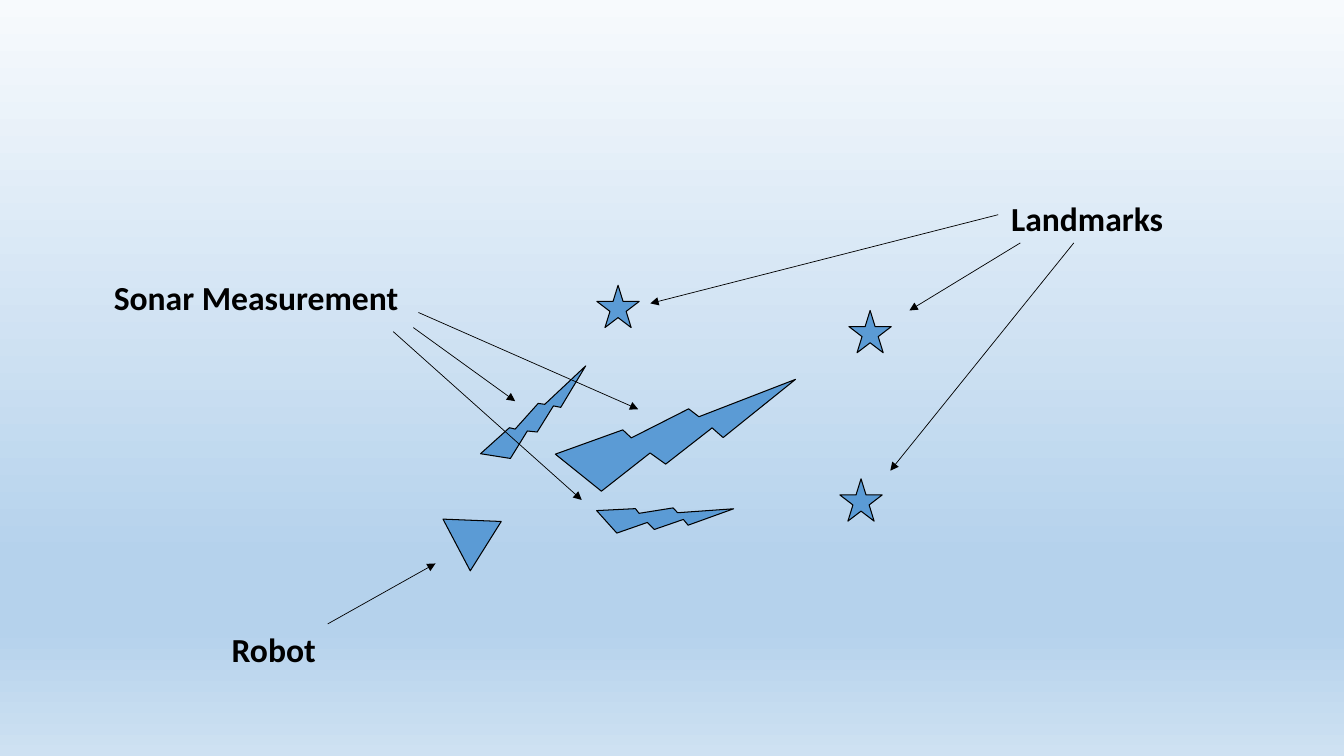
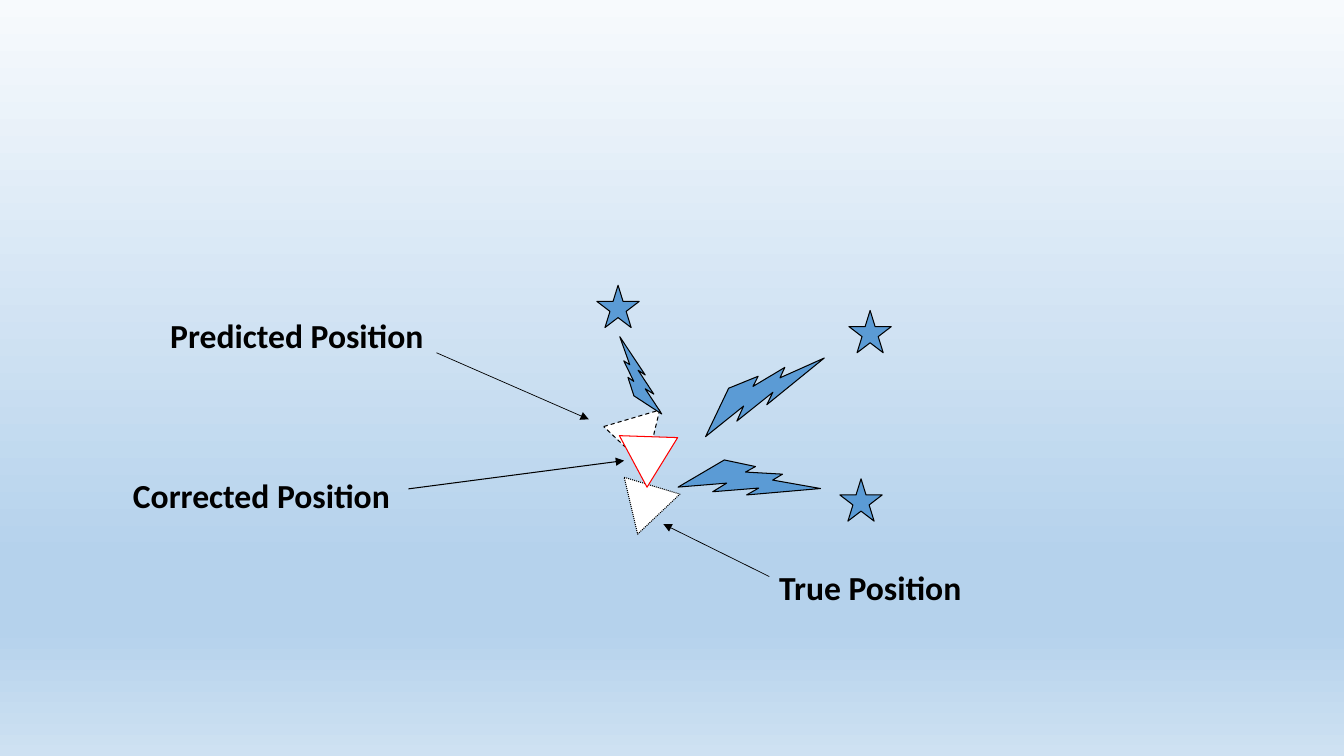
import copy

import lxml.etree
import pptx
import pptx.dml.color
import pptx.enum.dml
import pptx.enum.shapes
import pptx.enum.text
import pptx.oxml.ns
import pptx.util

Inches = pptx.util.Inches
Pt = pptx.util.Pt
RGBColor = pptx.dml.color.RGBColor
PRESET = pptx.enum.shapes.MSO_SHAPE
DASH = pptx.enum.dml.MSO_LINE
qn = pptx.oxml.ns.qn

BLACK = RGBColor(0x00, 0x00, 0x00)
WHITE = RGBColor(0xFF, 0xFF, 0xFF)
RED = RGBColor(0xFF, 0x00, 0x00)
BLUE = RGBColor(0x5B, 0x9B, 0xD5)
SKY_STOPS = [
    (0, RGBColor(0xF7, 0xFA, 0xFD)),
    (0.74, RGBColor(0xB5, 0xD2, 0xEC)),
    (0.83, RGBColor(0xB5, 0xD2, 0xEC)),
    (1, RGBColor(0xCE, 0xE1, 0xF2)),
]
FONT = "Calibri"
LABEL_HEIGHT = 0.5
STAR_SIZE = 0.42
ROBOT_WIDTH, ROBOT_HEIGHT = 0.58, 0.5
FIELD = (4, 2.5)


def set_background(master):
    """Give every slide the vertical sky gradient."""
    fill = master.background.fill
    fill.gradient()
    fill.gradient_angle = 270
    stop_list = next(master.element.iter(qn("a:gsLst")))
    while len(stop_list) < len(SKY_STOPS):
        stop_list.append(copy.deepcopy(stop_list[0]))
    for stop, (position, color) in zip(fill.gradient_stops, SKY_STOPS):
        stop.position = position
        stop.color.rgb = color


def add_marker(slide, preset, box, rotation=0, fill=BLUE, outline=BLACK, dash=None):
    """Add an outlined preset shape."""
    shape = slide.shapes.add_shape(preset, *map(Inches, box))
    shape.rotation = rotation
    shape.shadow.inherit = False
    shape.fill.solid()
    shape.fill.fore_color.rgb = fill
    shape.line.color.rgb = outline
    shape.line.width = Pt(0.75)
    if dash is not None:
        shape.line.dash_style = dash


def add_arrow(slide, start, end, width):
    """Add a black line with a triangle head at its end."""
    connector = slide.shapes.add_connector(
        pptx.enum.shapes.MSO_CONNECTOR.STRAIGHT, *map(Inches, start + end))
    connector.line.color.rgb = BLACK
    connector.line.width = Pt(width)
    properties = connector.element.spPr
    line = properties.find(qn("a:ln"))
    lxml.etree.SubElement(line, qn("a:tailEnd"), type="triangle")
    lxml.etree.SubElement(properties, qn("a:effectLst"))


def add_callout(slide, text, left, top, width, arrows, arrow_width=0.5):
    """Add a bold label and its arrows, measured from the label's corner."""
    label = slide.shapes.add_textbox(*map(Inches, (left, top, width, LABEL_HEIGHT)))
    frame = label.text_frame
    frame.word_wrap = False
    frame.auto_size = pptx.enum.text.MSO_AUTO_SIZE.SHAPE_TO_FIT_TEXT
    frame.text = text
    font = frame.paragraphs[0].runs[0].font
    font.name = FONT
    font.size = Pt(24)
    font.bold = True
    font.color.rgb = BLACK
    for start_x, start_y, end_x, end_y in arrows:
        add_arrow(slide, (left + start_x, top + start_y),
                  (left + end_x, top + end_y), arrow_width)


def add_landmarks(slide, left, top):
    """Add the three star landmarks of the field."""
    for x, y in [(1.92, 0.33), (4.42, 0.58), (4.33, 2.25)]:
        add_marker(slide, PRESET.STAR_5_POINT, (left + x, top + y, STAR_SIZE, STAR_SIZE))


def add_beams(slide, left, top, beams):
    """Add sonar bolts at their places in the field."""
    for x, y, width, height, rotation in beams:
        add_marker(slide, PRESET.LIGHTNING_BOLT, (left + x, top + y, width, height), rotation)


def add_robot(slide, left, top, rotation, **style):
    """Add a triangular robot."""
    add_marker(slide, PRESET.ISOSCELES_TRIANGLE,
               (left, top, ROBOT_WIDTH, ROBOT_HEIGHT), rotation, **style)


def build_measurement_slide(slide, left, top):
    """Show the robot measuring the landmarks by sonar."""
    add_landmarks(slide, left, top)
    add_beams(slide, left, top, [
        (1.1, 0.98, 0.46, 1.33, 242),
        (2.35, 1.98, 0.46, 1.33, 281.1),
        (2.21, 0.62, 1, 2.42, 266.8),
    ])
    add_robot(slide, left + 0.46, top + 2.54, 62.2)
    add_callout(slide, "Landmarks", left + 5.93, top - 0.59, 1.72, [
        (-0.03, 0.22, -3.48, 1.1),
        (0.19, 0.5, -0.91, 1.17),
        (0.72, 0.5, -1.1, 2.76),
    ])
    add_callout(slide, "Robot", left - 1.8, top + 3.69, 1.04, [(1.05, 0, 2.12, -0.6)])
    add_callout(slide, "Sonar Measurement", left - 2.97, top + 0.2, 3.05, [
        (3.07, 0.55, 4.08, 1.28),
        (3.12, 0.4, 5.3, 1.36),
        (2.87, 0.59, 4.74, 2.26),
    ])


def build_position_slide(slide, left, top):
    """Compare the predicted, corrected and true robot positions."""
    add_landmarks(slide, left, top)
    add_robot(slide, left + 2.08, top + 1.5, 43.5, fill=WHITE, dash=DASH.DASH)
    add_beams(slide, left, top, [
        (2.75, 2, 1.33, 0.58, 340.9),
        (1.92, 1.08, 0.83, 0.33, 223.4),
        (2.88, 1.12, 1.33, 0.58, 306.8),
    ])
    add_robot(slide, left + 2.21, top + 2.21, 76.7, fill=WHITE, dash=DASH.ROUND_DOT)
    add_robot(slide, left + 2.21, top + 1.71, 61.8, fill=WHITE, outline=RED)
    add_callout(slide, "True Position", left + 3.63, top + 3.08, 2.03,
                [(0, 0.14, -1.05, -0.38)])
    add_callout(slide, "Predicted Position", left - 2.41, top + 0.58, 2.74,
                [(2.74, 0.42, 4.25, 1.08)])
    add_callout(slide, "Corrected Position", left - 2.78, top + 2.16, 2.78,
                [(2.83, 0.19, 4.97, -0.09)], arrow_width=0.75)


def main():
    """Build and save the presentation."""
    presentation = pptx.Presentation()
    presentation.slide_width = Inches(13.33)
    presentation.slide_height = Inches(7.5)
    set_background(presentation.slide_master)
    blank_layout = presentation.slide_layouts[6]
    for build in (build_measurement_slide, build_position_slide):
        build(presentation.slides.add_slide(blank_layout), *FIELD)
    presentation.save("out.pptx")


if __name__ == "__main__":
    main()
